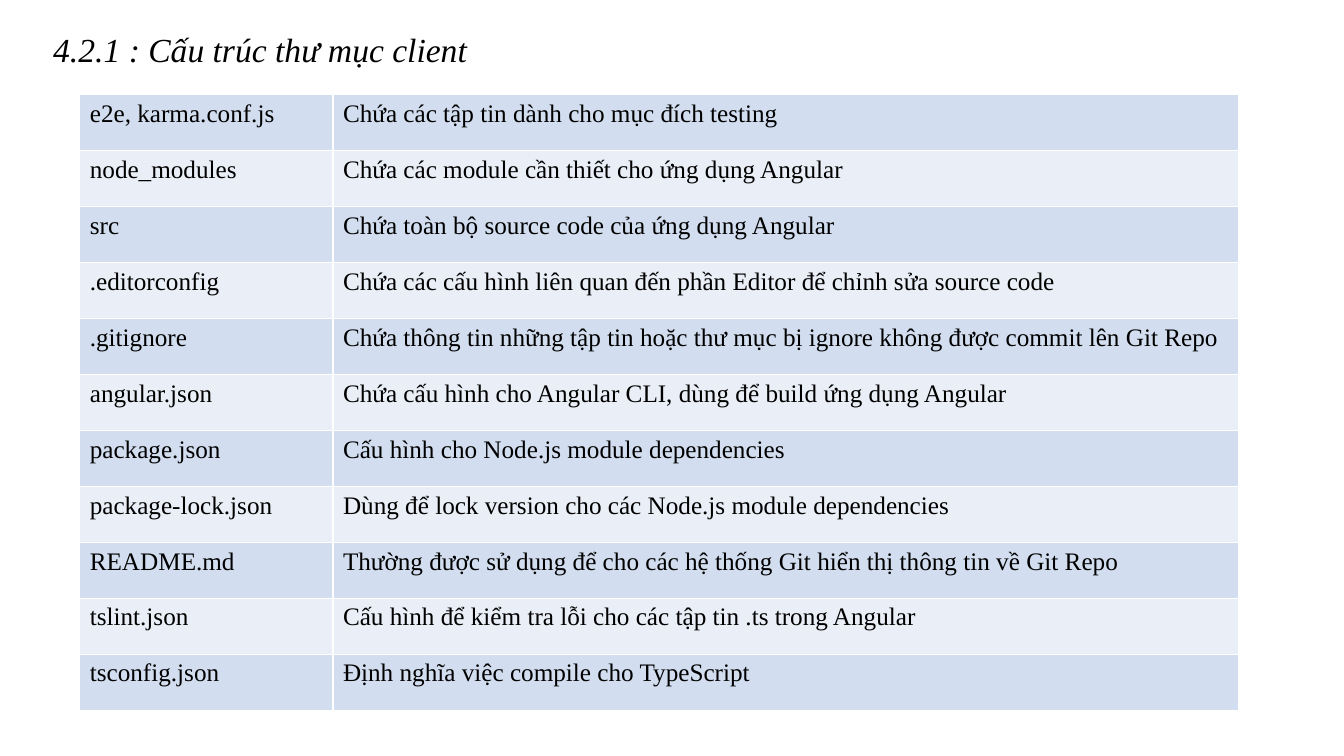
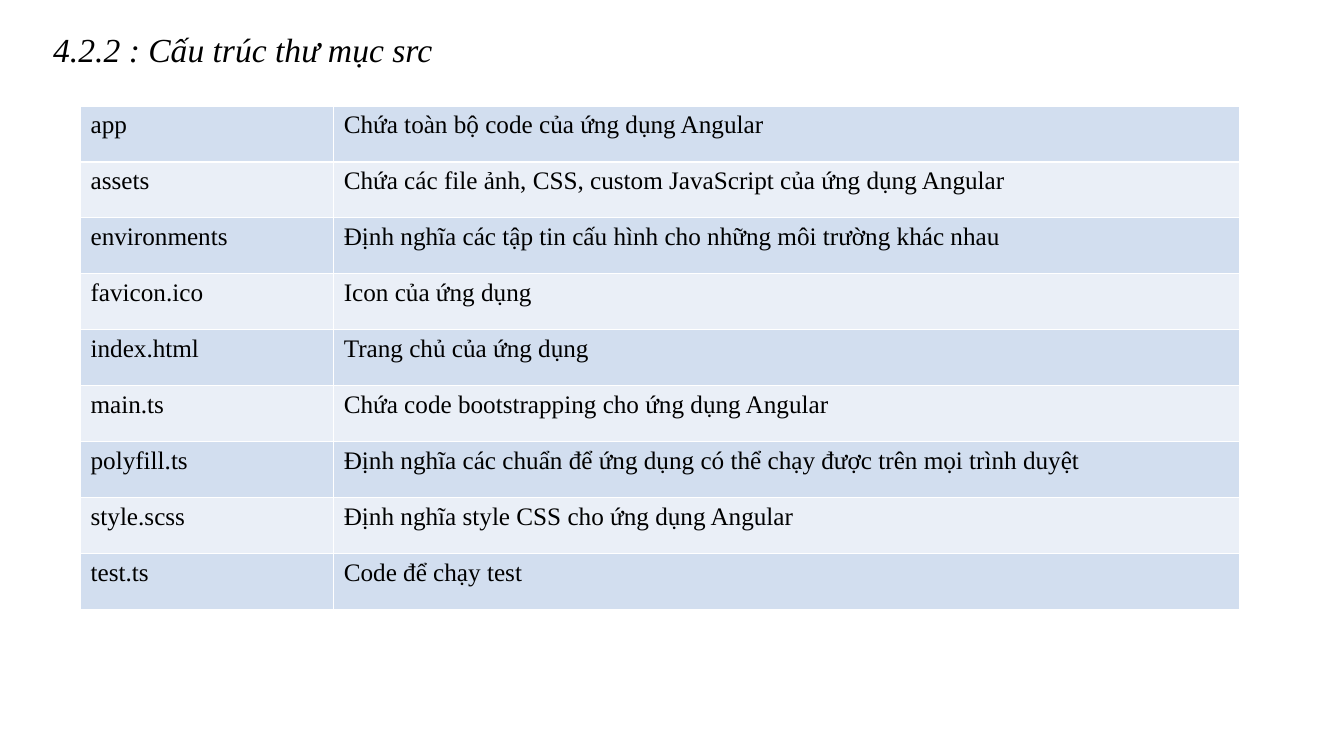
from dataclasses import dataclass

from pptx import Presentation
from pptx.dml.color import RGBColor
from pptx.enum.text import MSO_ANCHOR as Anchor, PP_ALIGN as Align
from pptx.oxml.ns import qn
from pptx.util import Cm, Pt
from lxml.etree import SubElement

# Shared look
FONT = "Times New Roman"
BLACK, WHITE = "000000", "FFFFFF"
BANDS = ("D2DEEF", "EAEFF7")
COLUMN_WIDTHS = (Cm(6.38), Cm(22.83))
ROW_HEIGHT = Cm(1.41)
TITLE_AREA = (Cm(1.09), Cm(0.71), Cm(31.04), Cm(18.14))
TITLE_FONT = {"name": FONT, "size": Pt(24), "italic": True}
CELL_FONT = {"name": FONT, "size": Pt(18), "bold": False}
TITLE_PARA = {"line_spacing": 0.9, "space_before": Pt(10), "alignment": Align.LEFT}
PLAIN_TABLE = {"first_row": False, "horz_banding": False}


@dataclass(frozen=True)
class FolderPage:
    title: str
    left: Cm
    top: Cm
    entries: tuple[tuple[str, str], ...]


PAGES = (
    FolderPage("4.2.1 : Cấu trúc thư mục client", Cm(2.01), Cm(2.39), (
        ("e2e, karma.conf.js", "Chứa các tập tin dành cho mục đích testing"),
        ("node_modules", "Chứa các module cần thiết cho ứng dụng Angular"),
        ("src", "Chứa toàn bộ source code của ứng dụng Angular"),
        (".editorconfig", "Chứa các cấu hình liên quan đến phần Editor để chỉnh sửa source code"),
        (".gitignore", "Chứa thông tin những tập tin hoặc thư mục bị ignore "
                       "không được commit lên Git Repo"),
        ("angular.json", "Chứa cấu hình cho Angular CLI, dùng để build ứng dụng Angular"),
        ("package.json", "Cấu hình cho Node.js module dependencies"),
        ("package-lock.json", "Dùng để lock version cho các Node.js module dependencies"),
        ("README.md", "Thường được sử dụng để cho các hệ thống Git "
                      "hiển thị thông tin về Git Repo"),
        ("tslint.json", "Cấu hình để kiểm tra lỗi cho các tập tin .ts trong Angular"),
        ("tsconfig.json", "Định nghĩa việc compile cho TypeScript"),
    )),
    FolderPage("4.2.2 : Cấu trúc thư mục src", Cm(2.03), Cm(2.67), (
        ("app", "Chứa toàn bộ code của ứng dụng Angular"),
        ("assets", "Chứa các file ảnh, CSS, custom JavaScript của ứng dụng Angular"),
        ("environments", "Định nghĩa các tập tin cấu hình cho những môi trường khác nhau"),
        ("favicon.ico", "Icon của ứng dụng"),
        ("index.html", "Trang chủ của ứng dụng"),
        ("main.ts", "Chứa code bootstrapping cho ứng dụng Angular"),
        ("polyfill.ts", "Định nghĩa các chuẩn để ứng dụng có thể chạy được "
                        "trên mọi trình duyệt"),
        ("style.scss", "Định nghĩa style CSS cho ứng dụng Angular"),
        ("test.ts", "Code để chạy test"),
    )),
)


def apply(target, values: dict) -> None:
    for name, value in values.items():
        setattr(target, name, value)


def paint(color_format, color: str) -> None:
    color_format.rgb = RGBColor.from_string(color)


def write(para, text: str, font: dict) -> None:
    span = para.add_run()
    span.text = text
    apply(span.font, font)
    paint(span.font.color, BLACK)


def add_borders(cell, color: str) -> None:
    properties = cell._tc.get_or_add_tcPr()
    for side in ("lnL", "lnR", "lnT", "lnB"):
        line = SubElement(properties, qn(f"a:{side}"), w=str(Pt(1)))
        fill = SubElement(line, qn("a:solidFill"))
        SubElement(fill, qn("a:srgbClr"), val=color)


def add_title(page, text: str) -> None:
    box = page.shapes.add_textbox(*TITLE_AREA)
    apply(box.text_frame, {"word_wrap": True, "vertical_anchor": Anchor.TOP})
    para = box.text_frame.paragraphs[0]
    apply(para, TITLE_PARA)
    write(para, text, TITLE_FONT)


def add_folder_table(page, folder: FolderPage) -> None:
    count = len(folder.entries)
    table = page.shapes.add_table(
        count, len(COLUMN_WIDTHS), folder.left, folder.top,
        sum(COLUMN_WIDTHS), ROW_HEIGHT * count).table
    apply(table, PLAIN_TABLE)
    for column, width in zip(table.columns, COLUMN_WIDTHS):
        column.width = width
    for index, (row, entry) in enumerate(zip(table.rows, folder.entries)):
        row.height = ROW_HEIGHT
        for cell, text in zip(row.cells, entry):
            # Borders come before the fill in the cell properties
            add_borders(cell, WHITE)
            cell.fill.solid()
            paint(cell.fill.fore_color, BANDS[index % len(BANDS)])
            write(cell.text_frame.paragraphs[0], text, CELL_FONT)


def main() -> None:
    deck = Presentation()
    apply(deck, {"slide_width": Cm(33.87), "slide_height": Cm(19.05)})
    blank = deck.slide_layouts[6]
    for folder in PAGES:
        page = deck.slides.add_slide(blank)
        add_title(page, folder.title)
        add_folder_table(page, folder)
    deck.save("out.pptx")


if __name__ == "__main__":
    main()
